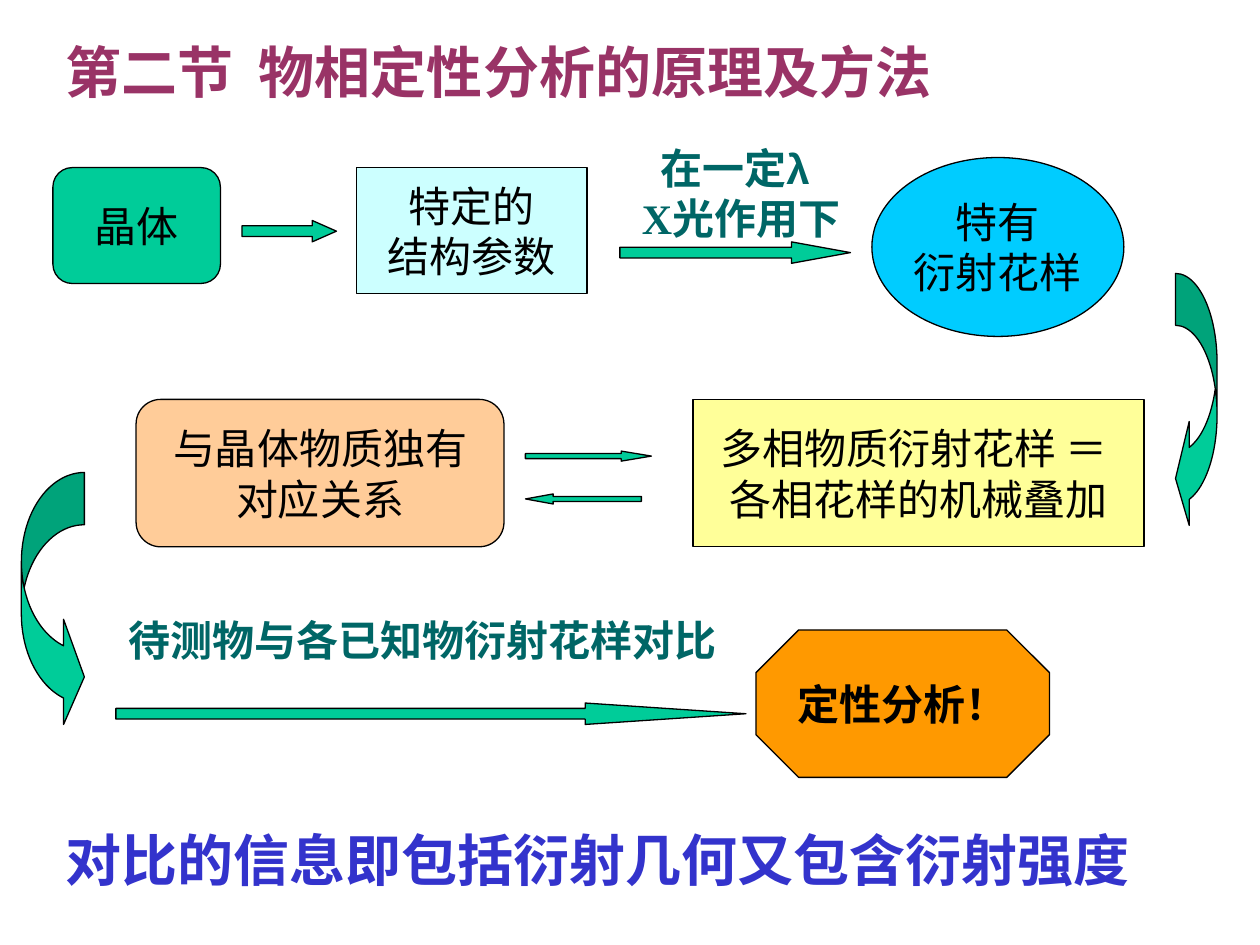
"""Build the slide on the principle and method of qualitative phase analysis."""
from pptx import Presentation
from pptx.dml.color import RGBColor
from pptx.enum.shapes import MSO_SHAPE as SHAPE
from pptx.enum.text import MSO_ANCHOR as ANCHOR, MSO_AUTO_SIZE as AUTO, PP_ALIGN as ALIGN
from pptx.util import Inches, Pt

BLACK = RGBColor(0x00, 0x00, 0x00)
PLUM = RGBColor(0x99, 0x33, 0x66)
TEAL = RGBColor(0x00, 0x66, 0x66)
BLUE = RGBColor(0x33, 0x33, 0xCC)
GREEN = RGBColor(0x00, 0xCC, 0x99)
PALE_CYAN = RGBColor(0xCC, 0xFF, 0xFF)
SKY = RGBColor(0x00, 0xCC, 0xFF)
YELLOW = RGBColor(0xFF, 0xFF, 0x99)
PEACH = RGBColor(0xFF, 0xCC, 0x99)
ORANGE = RGBColor(0xFF, 0x99, 0x00)


def add_run(p, text, size, color, bold, font="Times New Roman"):
    r = p.add_run()
    r.text = text
    r.font.name = font
    r.font.size = Pt(size)
    r.font.bold = bold
    r.font.color.rgb = color


def add_filled(kind, box, fill, adjustments):
    sp = s.shapes.add_shape(kind, *map(Inches, box))
    sp.shadow.inherit = False
    sp.fill.solid()
    sp.fill.fore_color.rgb = fill
    sp.line.color.rgb = BLACK
    sp.line.width = Pt(0.75)
    for i, value in enumerate(adjustments):
        sp.adjustments[i] = value
    return sp


prs = Presentation()
prs.slide_width, prs.slide_height = Inches(10), Inches(7.5)
s = prs.slides.add_slide(prs.slide_layouts[5])

title = s.shapes.title
title.left, title.top, title.width, title.height = map(Inches, (0.42, 0.25, 8.75, 0.64))
tf = title.text_frame
tf.word_wrap = True
tf.auto_size = AUTO.NONE
tf.vertical_anchor = ANCHOR.TOP
p = tf.paragraphs[0]
p.alignment = ALIGN.LEFT
add_run(p, "第二节  物相定性分析的原理及方法", 32, PLUM, True)

nodes = [
    (SHAPE.ROUNDED_RECTANGLE, (0.42, 1.33, 1.33, 0.92), GREEN, [0.167], ["晶体"], False),
    (SHAPE.RECTANGLE, (2.83, 1.33, 1.83, 1), PALE_CYAN, [], ["特定的", "结构参数"], False),
    (SHAPE.OVAL, (6.92, 1.25, 2, 1.42), SKY, [], ["特有", "衍射花样"], False),
    (SHAPE.RECTANGLE, (5.5, 3.17, 3.58, 1.17), YELLOW, [],
     ["多相物质衍射花样 ＝ ", "各相花样的机械叠加"], False),
    (SHAPE.ROUNDED_RECTANGLE, (1.08, 3.17, 2.92, 1.17), PEACH, [0.167],
     ["与晶体物质独有", "对应关系"], False),
    (SHAPE.OCTAGON, (6, 5, 2.33, 1.17), ORANGE, [0.29], ["定性分析！"], True),
]
for kind, box, fill, adjustments, lines, bold in nodes:
    tf = add_filled(kind, box, fill, adjustments).text_frame
    tf.word_wrap = False
    tf.vertical_anchor = ANCHOR.MIDDLE
    for i, line in enumerate(lines):
        p = tf.add_paragraph() if i else tf.paragraphs[0]
        p.alignment = ALIGN.CENTER
        add_run(p, line, 24, BLACK, bold)

arrows = [
    (SHAPE.RIGHT_ARROW, (1.92, 1.75, 0.75, 0.17), [0.5, 1.13]),
    (SHAPE.RIGHT_ARROW, (4.92, 1.92, 1.83, 0.17), [0.5, 2.75]),
    (SHAPE.RIGHT_ARROW, (4.17, 3.58, 1, 0.08), [0.5, 3]),
    (SHAPE.LEFT_ARROW, (4.17, 3.92, 0.92, 0.08), [0.5, 2.75]),
    (SHAPE.RIGHT_ARROW, (0.92, 5.58, 5, 0.17), [0.5, 7.5]),
    (SHAPE.CURVED_LEFT_ARROW, (9.33, 2.17, 0.33, 2.04), [1.25, 2.5, 0.33]),
    (SHAPE.CURVED_RIGHT_ARROW, (0.17, 3.75, 0.5, 2.04), [0.83, 1.67, 0.33]),
]
for kind, box, adjustments in arrows:
    add_filled(kind, box, GREEN, adjustments)

labels = [
    ((4.92, 1.08, 1.92, 0.9), ALIGN.CENTER, 24, TEAL,
     [("在一定", "Times New Roman"), ("λ \v", "Arial"), ("X光作用下", "Times New Roman")]),
    ((0.92, 4.83, 4.92, 0.5), ALIGN.LEFT, 24, TEAL,
     [("待测物与各已知物衍射花样对比", "Times New Roman")]),
    ((0.42, 6.5, 9.08, 0.64), ALIGN.LEFT, 32, BLUE,
     [("对比的信息即包括衍射几何又包含衍射强度", "Times New Roman")]),
]
for box, align, size, color, runs in labels:
    tf = s.shapes.add_textbox(*map(Inches, box)).text_frame
    tf.word_wrap = True
    p = tf.paragraphs[0]
    p.alignment = align
    for text, font in runs:
        add_run(p, text.rstrip("\v"), size, color, True, font)
        if text.endswith("\v"):
            p.add_line_break()

prs.save("out.pptx")
